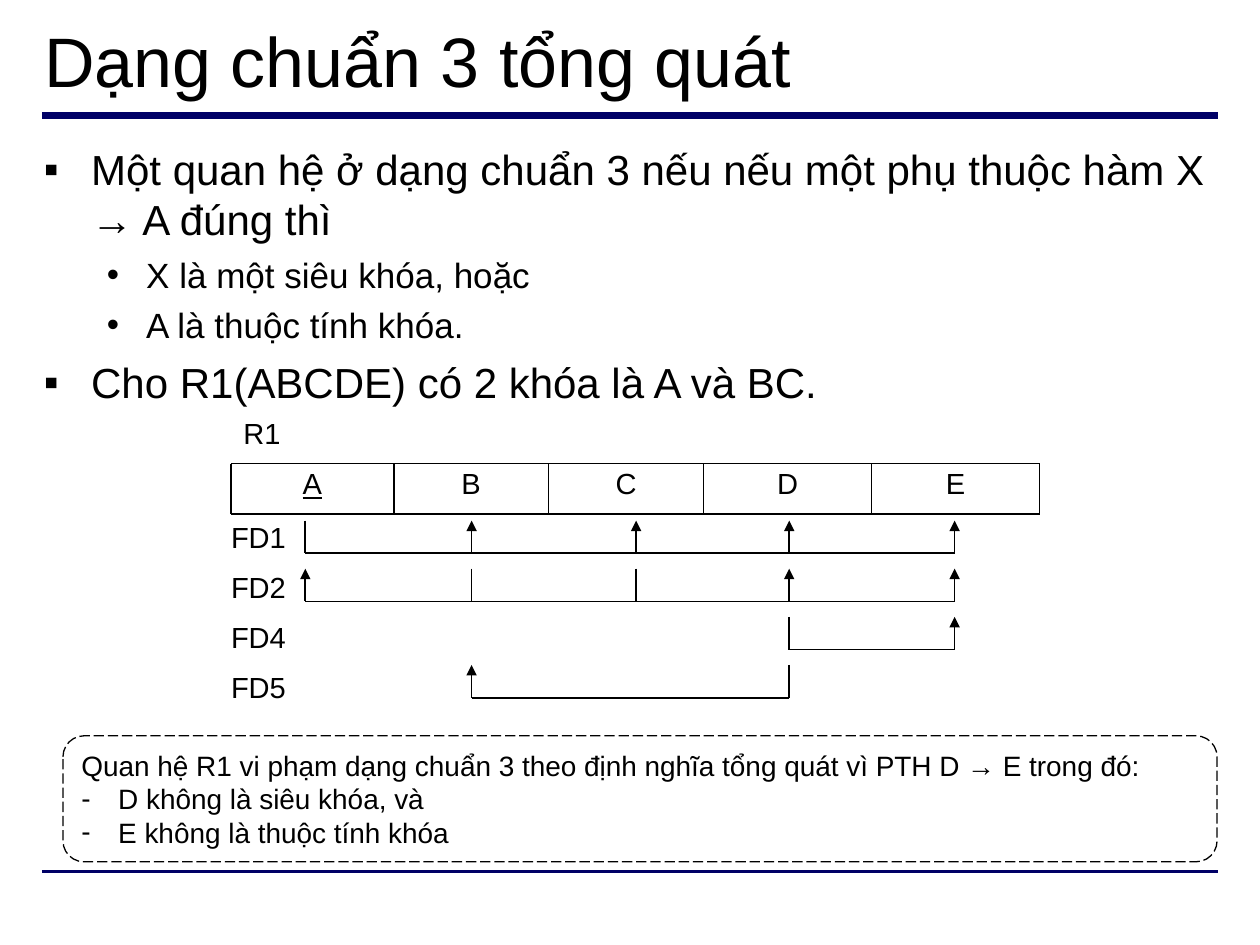
from pptx import Presentation
from pptx.dml.color import RGBColor
from pptx.enum.dml import MSO_LINE
from pptx.enum.shapes import MSO_CONNECTOR, MSO_SHAPE
from pptx.enum.text import MSO_ANCHOR, PP_ALIGN
from pptx.oxml.ns import qn
from pptx.util import Pt
from lxml.etree import SubElement

COLORS = {"text": "000000", "rule": "000066", "cell": "FFFFFF"}

prs = Presentation()
prs.slide_width, prs.slide_height = Pt(720), Pt(540)
s = prs.slides.add_slide(prs.slide_layouts[5])


def add_line(x1, y1, x2, y2, width=1, color="text", arrow=False):
    line = s.shapes.add_connector(
        MSO_CONNECTOR.STRAIGHT, Pt(x1), Pt(y1), Pt(x2), Pt(y2))
    line.line.width = Pt(width)
    line.line.color.rgb = RGBColor.from_string(COLORS[color])
    SubElement(line._element.spPr, qn("a:effectLst"))
    if arrow:
        SubElement(line.line._get_or_add_ln(), qn("a:headEnd"), type="triangle")


def style(p, size, bullet=None, left=0, hanging=0):
    p.alignment = PP_ALIGN.LEFT
    if bullet:
        pPr = p._p.get_or_add_pPr()
        pPr.set("marL", str(Pt(left)))
        pPr.set("indent", str(-Pt(hanging)))
        SubElement(SubElement(pPr, qn("a:buClr")), qn("a:srgbClr"), val=COLORS["text"])
        SubElement(pPr, qn("a:buFont"), typeface="Arial")
        SubElement(pPr, qn("a:buChar"), char=bullet)
    for r in p.runs:
        r.font.name = "Arial"
        r.font.size = Pt(size)
        r.font.color.rgb = RGBColor.from_string(COLORS["text"])


add_line(24, 66, 696, 66, 4.5, "rule")
add_line(24, 498, 696, 498, 2.25, "rule")

title = s.shapes.title
title.left, title.top, title.width, title.height = Pt(18), Pt(6.5), Pt(684), Pt(55.5)
title.text_frame.text = "Dạng chuẩn 3 tổng quát"
title.text_frame.vertical_anchor = MSO_ANCHOR.MIDDLE
style(title.text_frame.paragraphs[0], 40)

body = s.shapes.add_textbox(Pt(18), Pt(78.5), Pt(684), Pt(420))
tf = body.text_frame
tf.word_wrap = True
items = [
    (0, "Một quan hệ ở dạng chuẩn 3 nếu nếu một phụ thuộc hàm X → A đúng thì"),
    (1, "X là một siêu khóa, hoặc"),
    (1, "A là thuộc tính khóa."),
    (0, "Cho R1(ABCDE) có 2 khóa là A và BC."),
]
levels = [(24, "▪", 27, 27, 6), (20, "•", 58.5, 22.5, 5)]
for i, (level, text) in enumerate(items):
    p = tf.add_paragraph() if i else tf.paragraphs[0]
    p.text = text
    p.level = level
    size, bullet, left, hanging, before = levels[level]
    style(p, size, bullet, left, hanging)
    if i:
        p.space_before = Pt(before)

edges = [132, 225, 313.5, 402, 498, 594]
grid_top, row_h = 236.2, 28.7
rows = [
    ["R1", None, "", "", ""],
    ["A", "B", "C", "D", "E"],
    ["FD1", "", "", "", ""],
    ["FD2", "", "", "", ""],
    ["FD4", "", "", "", ""],
    ["FD5", "", "", "", ""],
]
for i, row in enumerate(rows):
    for j, text in enumerate(row):
        if text is None:
            continue
        span = 2 if row[j + 1:j + 2] == [None] else 1
        sp = s.shapes.add_shape(
            MSO_SHAPE.RECTANGLE, Pt(edges[j]), Pt(grid_top + i * row_h),
            Pt(edges[j + span] - edges[j]), Pt(row_h))
        sp.shadow.inherit = False
        sp.fill.solid()
        sp.fill.fore_color.rgb = RGBColor.from_string(COLORS["cell"])
        sp.line.fill.background()
        if not text:
            continue
        tf = sp.text_frame
        tf.text = text
        p = tf.paragraphs[0]
        style(p, 16.6)
        p.line_spacing = 0.9
        tf.vertical_anchor = MSO_ANCHOR.TOP if i < 2 else MSO_ANCHOR.MIDDLE
        if i == 1:
            p.alignment = PP_ALIGN.CENTER
            p.runs[0].font.underline = text == "A"
        elif i > 1:
            tf.margin_left = 0

head_top, head_bottom = grid_top + row_h, grid_top + 2 * row_h
for y in (head_top, head_bottom):
    add_line(edges[0], y, edges[-1], y)
for x in edges:
    add_line(x, head_top, x, head_bottom)

stems = {"A": 174.5, "B": 269.5, "C": 363.5, "D": 451, "E": 545.5}
dependencies = [("A", "BCDE"), ("BC", "ADE"), ("D", "E"), ("D", "B")]
for i, (sources, targets) in enumerate(dependencies):
    top = 297.5 + i * 27.5
    bottom = top + 18.7
    xs = [stems[c] for c in sources + targets]
    add_line(min(xs), bottom, max(xs), bottom)
    for c in sources + targets:
        add_line(stems[c], top, stems[c], bottom, arrow=c in targets)

note = s.shapes.add_shape(
    MSO_SHAPE.ROUNDED_RECTANGLE, Pt(36), Pt(420.5), Pt(659.5), Pt(72))
note.shadow.inherit = False
note.fill.background()
note.line.color.rgb = RGBColor.from_string(COLORS["text"])
note.line.width = Pt(0.75)
note.line.dash_style = MSO_LINE.LONG_DASH
tf = note.text_frame
tf.word_wrap = True
tf.vertical_anchor = MSO_ANCHOR.MIDDLE
tf.text = (
    "Quan hệ R1 vi phạm dạng chuẩn 3 theo định nghĩa tổng quát vì PTH D → E trong đó:\n"
    "D không là siêu khóa, và\n"
    "E không là thuộc tính khóa")
for i, p in enumerate(tf.paragraphs):
    style(p, 16, "-" if i else None, 21, 21)

prs.save("out.pptx")
